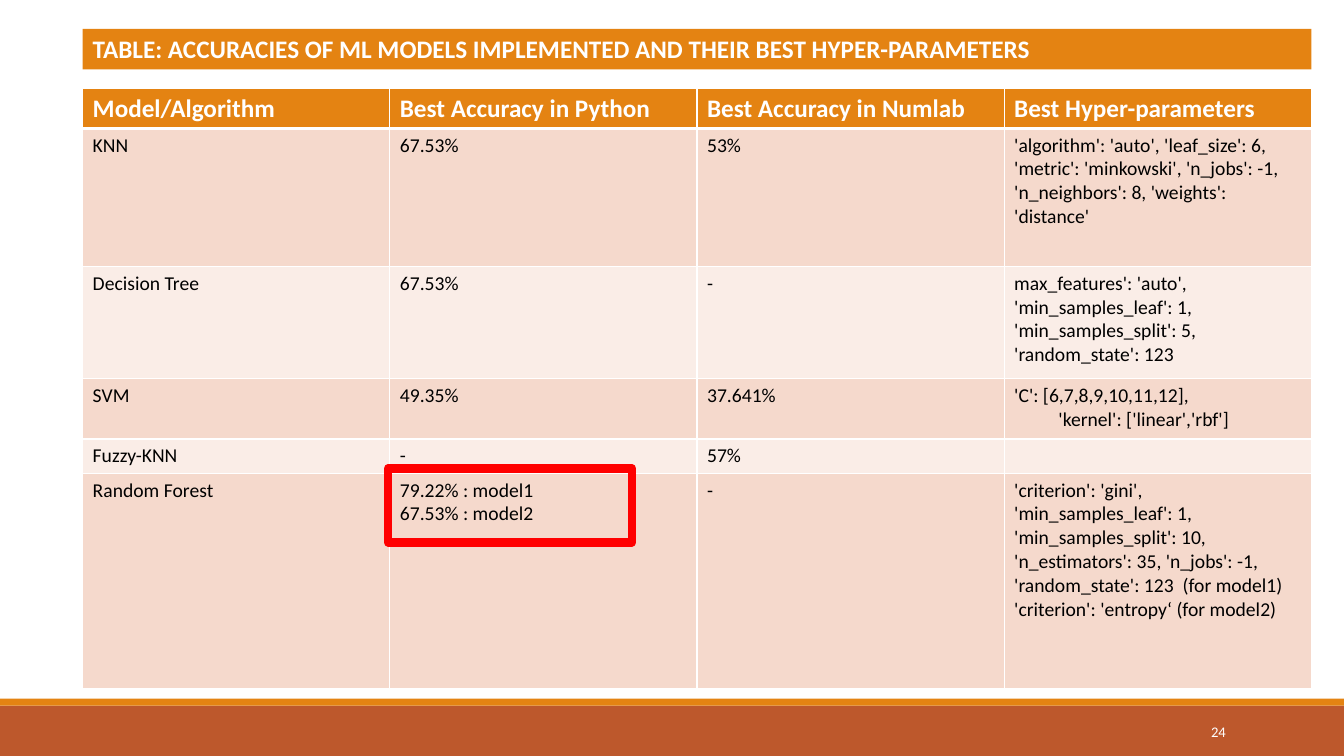
import pptx
import pptx.dml.color
import pptx.enum.shapes
import pptx.enum.text
import pptx.oxml
import pptx.oxml.ns
import pptx.util

Pt = pptx.util.Pt
RGBColor = pptx.dml.color.RGBColor
ALIGN = pptx.enum.text.PP_ALIGN
ANCHOR = pptx.enum.text.MSO_ANCHOR

ORANGE = RGBColor(0xE4, 0x83, 0x12)
RUST = RGBColor(0xBD, 0x58, 0x2C)
DARK_BAND = RGBColor(0xF5, 0xD9, 0xCC)
LIGHT_BAND = RGBColor(0xFA, 0xED, 0xE7)
RED = RGBColor(0xFF, 0x00, 0x00)
WHITE = RGBColor(0xFF, 0xFF, 0xFF)
BLACK = RGBColor(0x00, 0x00, 0x00)

SLIDE_WIDTH, SLIDE_HEIGHT = 960, 540
CONTENT_LEFT, CONTENT_WIDTH = 59.04, 877.68
KERNEL_INDENT = 31.6

TITLE = "TABLE: ACCURACIES OF ML MODELS IMPLEMENTED AND THEIR BEST HYPER-PARAMETERS"
HEADERS = ["Model/Algorithm", "Best Accuracy in Python",
           "Best Accuracy in Numlab", "Best Hyper-parameters"]
MODELS = [
    ["KNN", "67.53%", "53%",
     "'algorithm': 'auto', 'leaf_size': 6, 'metric': 'minkowski', "
     "'n_jobs': -1, 'n_neighbors': 8, 'weights': 'distance'"],
    ["Decision Tree", "67.53%", "-",
     "max_features': 'auto', 'min_samples_leaf': 1, "
     "'min_samples_split': 5, 'random_state': 123"],
    ["SVM", "49.35%", "37.641%",
     "'C': [6,7,8,9,10,11,12],\n'kernel': ['linear','rbf']"],
    ["Fuzzy-KNN", "-", "57%", ""],
    ["Random Forest", "79.22% : model1\n67.53% : model2", "-",
     "'criterion': 'gini', 'min_samples_leaf': 1, 'min_samples_split': 10, "
     "'n_estimators': 35, 'n_jobs': -1, 'random_state': 123  (for model1)\n"
     "'criterion': 'entropy‘ (for model2)"],
]
ROW_HEIGHTS = [28.8, 98.64, 80, 43.2, 24.6, 154]


def write_text(frame, text, size=14, color=BLACK, bold=False, align=ALIGN.LEFT):
    """Fill a text frame with one paragraph for each line of text."""
    for index, line in enumerate(text.split("\n")):
        paragraph = frame.paragraphs[0] if index == 0 else frame.add_paragraph()
        paragraph.alignment = align
        if not line:
            # An empty cell needs its size here, or its row grows
            end = pptx.oxml.ns.qn("a:endParaRPr")
            paragraph._p.append(paragraph._p.makeelement(end, {"sz": str(size * 100)}))
            continue
        run = paragraph.add_run()
        run.text = line
        run.font.name = "Calibri"
        run.font.size = Pt(size)
        run.font.bold = bold
        run.font.color.rgb = color


def add_rectangle(slide, left, top, width, height, fill=None, line=None, line_width=1):
    shape = slide.shapes.add_shape(
        pptx.enum.shapes.MSO_SHAPE.RECTANGLE, Pt(left), Pt(top), Pt(width), Pt(height))
    shape.shadow.inherit = False
    if fill is None:
        shape.fill.background()
    else:
        shape.fill.solid()
        shape.fill.fore_color.rgb = fill
    if line is None:
        shape.line.fill.background()
    else:
        shape.line.color.rgb = line
        shape.line.width = Pt(line_width)
    return shape


def set_cell_borders(cell, top=1, bottom=1):
    properties = cell._tc.get_or_add_tcPr()
    for side, width in (("L", 1), ("R", 1), ("T", top), ("B", bottom)):
        properties.append(pptx.oxml.parse_xml(
            f'<a:ln{side} {pptx.oxml.ns.nsdecls("a")} w="{Pt(width)}">'
            f'<a:solidFill><a:srgbClr val="{WHITE}"/></a:solidFill></a:ln{side}>'))


def add_footer(slide, left, top, width, height):
    stripe = 5
    add_rectangle(slide, left, top + stripe, width, height - stripe, fill=RUST)
    add_rectangle(slide, left, top, width, stripe, fill=ORANGE)
    number = slide.shapes.add_textbox(
        Pt(left + 779.76), Pt(top + 9.3), Pt(102.96), Pt(28.8))
    number.text_frame.word_wrap = True
    number.text_frame.vertical_anchor = ANCHOR.MIDDLE
    write_text(number.text_frame, "24", size=10.5, color=WHITE, align=ALIGN.RIGHT)


def add_title(slide, left, top, width, height):
    banner = add_rectangle(slide, left, top, width, height, fill=ORANGE)
    banner.text_frame.word_wrap = True
    banner.text_frame.vertical_anchor = ANCHOR.TOP
    write_text(banner.text_frame, TITLE, size=18, color=WHITE, bold=True)


def add_accuracy_table(slide, left, top, width, height):
    rows = [HEADERS] + MODELS
    table = slide.shapes.add_table(
        len(rows), len(HEADERS), Pt(left), Pt(top), Pt(width), Pt(height)).table
    for column in table.columns:
        column.width = Pt(width / len(HEADERS))
    for row_index, texts in enumerate(rows):
        table.rows[row_index].height = Pt(ROW_HEIGHTS[row_index])
        is_header = row_index == 0
        band = DARK_BAND if row_index % 2 else LIGHT_BAND
        for column_index, text in enumerate(texts):
            cell = table.cell(row_index, column_index)
            set_cell_borders(cell, top=3 if row_index == 1 else 1,
                             bottom=3 if is_header else 1)
            cell.fill.solid()
            cell.fill.fore_color.rgb = ORANGE if is_header else band
            if is_header:
                write_text(cell.text_frame, text, size=18, color=WHITE, bold=True)
            else:
                write_text(cell.text_frame, text)
    kernel = table.cell(3, 3).text_frame.paragraphs[1]
    kernel._p.get_or_add_pPr().set("marL", str(Pt(KERNEL_INDENT)))


def main():
    presentation = pptx.Presentation()
    presentation.slide_width = Pt(SLIDE_WIDTH)
    presentation.slide_height = Pt(SLIDE_HEIGHT)
    slide = presentation.slides.add_slide(presentation.slide_layouts[6])
    add_footer(slide, 0, 499, SLIDE_WIDTH, 41)
    add_accuracy_table(slide, CONTENT_LEFT, 62.9, CONTENT_WIDTH, sum(ROW_HEIGHTS))
    add_rectangle(slide, 277.2, 334.8, 174.24, 52.56, line=RED, line_width=6.25)
    add_title(slide, CONTENT_LEFT, 20.6, CONTENT_WIDTH, 29.08)
    presentation.save("out.pptx")


if __name__ == "__main__":
    main()
